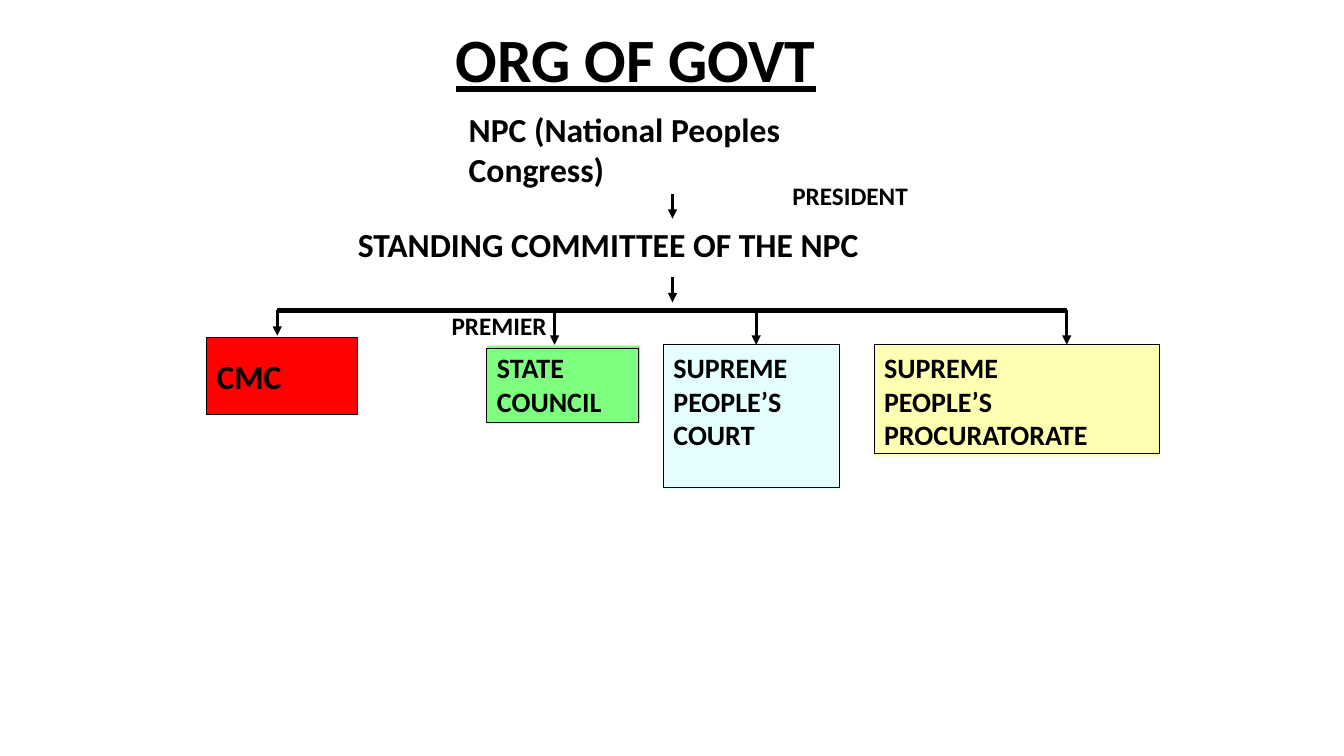
from typing import NamedTuple, Optional

from lxml.etree import SubElement
from pptx import Presentation
from pptx.dml.color import RGBColor
from pptx.enum.shapes import MSO_CONNECTOR as Connector, MSO_SHAPE as Shape
from pptx.enum.text import MSO_ANCHOR as Anchor, MSO_AUTO_SIZE as AutoSize, PP_ALIGN as Align
from pptx.oxml.ns import qn
from pptx.util import Inches, Pt

BLACK = RGBColor(0x00, 0x00, 0x00)
RED = RGBColor(0xFF, 0x00, 0x00)
GREEN = RGBColor(0x00, 0xFF, 0x00)
PALE_CYAN = RGBColor(0xCC, 0xFF, 0xFF)
YELLOW = RGBColor(0xFF, 0xFF, 0x66)
FONT = "Calibri"


class Area(NamedTuple):
    left: float
    top: float
    width: float
    height: float


class Label(NamedTuple):
    text: str
    area: Area
    size: int
    wrap: bool = True


class Organ(NamedTuple):
    lines: str
    panel: Area
    frame: Area
    color: RGBColor


class Arrow(NamedTuple):
    x: float
    top: float
    bottom: float


BAR_Y, BAR_LEFT, BAR_RIGHT = 3.08, 2.75, 10.58

HEADINGS = [
    Label("NPC (National Peoples Congress)", Area(4.55, 1.03, 4.68, 0.91), 24),
    Label("STANDING COMMITTEE OF THE NPC", Area(3.45, 2.17, 5.21, 0.5), 24, wrap=False),
]
OFFICES = [
    Label("PREMIER", Area(4.38, 3.03, 3.11, 0.4), 18),
    Label("PRESIDENT", Area(7.76, 1.74, 3.11, 0.4), 18),
]
ORGANS = [
    Organ("STATE\nCOUNCIL", Area(4.83, 3.43, 1.52, 0.77), Area(4.83, 3.46, 1.5, 0.73), GREEN),
    Organ("SUPREME\nPEOPLE’S\nCOURT", Area(6.58, 3.43, 1.75, 1.43),
          Area(6.58, 3.42, 1.75, 1.42), PALE_CYAN),
    Organ("SUPREME\nPEOPLE’S\nPROCURATORATE", Area(8.67, 3.43, 2.83, 1.1),
          Area(8.67, 3.42, 2.83, 1.08), YELLOW),
]
ARROWS = [
    Arrow(BAR_LEFT, BAR_Y, 3.33),
    Arrow(BAR_RIGHT, BAR_Y, 3.42),
    Arrow(5.5, BAR_Y, 3.42),
    Arrow(7.5, BAR_Y, 3.42),
    Arrow(6.67, 2.75, 3),
    Arrow(6.67, 1.92, 2.17),
]


def write_text(box, text: str, *, size: int, underline: bool = False, wrap: bool = True,
               anchor=Anchor.TOP, spacing: float = 1.0) -> None:
    frame = box.text_frame
    frame.auto_size = AutoSize.NONE
    frame.word_wrap = wrap
    frame.vertical_anchor = anchor
    frame.text = text
    for para in frame.paragraphs:
        para.alignment = Align.LEFT
        para.line_spacing = spacing
        for span in para.runs:
            font = span.font
            font.name, font.size, font.bold = FONT, Pt(size), True
            font.underline = underline
            font.color.rgb = BLACK


def add_label(page, label: Label) -> None:
    box = page.shapes.add_textbox(*map(Inches, label.area))
    write_text(box, label.text, size=label.size, wrap=label.wrap)


def add_box(page, area: Area, *, fill: Optional[RGBColor] = None,
            opacity: int = 100, outlined: bool = True):
    box = page.shapes.add_shape(Shape.RECTANGLE, *map(Inches, area))
    box.shadow.inherit = False
    if fill is None:
        box.fill.background()
    else:
        box.fill.solid()
        box.fill.fore_color.rgb = fill
        if opacity < 100:
            color = box._element.spPr.find(qn("a:solidFill"))[0]
            SubElement(color, qn("a:alpha"), val=str(opacity * 1000))
    if outlined:
        box.line.color.rgb = BLACK
        box.line.width = Pt(0.75)
    else:
        box.line.fill.background()
    return box


def add_line(page, x1: float, y1: float, x2: float, y2: float, *,
             width: float, arrow: bool = False) -> None:
    line = page.shapes.add_connector(Connector.STRAIGHT, *map(Inches, (x1, y1, x2, y2)))
    line.line.color.rgb = BLACK
    line.line.width = Pt(width)
    if arrow:
        SubElement(line.line._get_or_add_ln(), qn("a:tailEnd"), type="triangle")
    SubElement(line._element.spPr, qn("a:effectLst"))


def main() -> None:
    deck = Presentation()
    deck.slide_width, deck.slide_height = Inches(13.33), Inches(7.5)
    page = deck.slides.add_slide(deck.slide_layouts[5])

    # Title
    title = page.shapes.title
    title.left, title.top, title.width, title.height = map(Inches, (4.42, 0, 8.58, 1.25))
    write_text(title, "ORG OF GOVT", size=44, underline=True, anchor=Anchor.MIDDLE, spacing=0.9)

    # Congress and its committee
    for heading in HEADINGS:
        add_label(page, heading)

    # State organs: tinted panels, then their frames
    for organ in ORGANS:
        panel = add_box(page, organ.panel, fill=organ.color, opacity=50, outlined=False)
        write_text(panel, organ.lines, size=20)
    for organ in ORGANS:
        add_box(page, organ.frame)

    # Branching bar and arrows
    add_line(page, BAR_LEFT, BAR_Y, BAR_RIGHT, BAR_Y, width=3)
    for arrow in ARROWS:
        add_line(page, arrow.x, arrow.top, arrow.x, arrow.bottom, width=2.25, arrow=True)

    # Military commission
    commission = add_box(page, Area(2.05, 3.35, 1.5, 0.76), fill=RED)
    write_text(commission, "CMC", size=24, wrap=False, anchor=Anchor.MIDDLE)

    # Office holders
    for office in OFFICES:
        add_label(page, office)

    deck.save("out.pptx")


if __name__ == "__main__":
    main()
